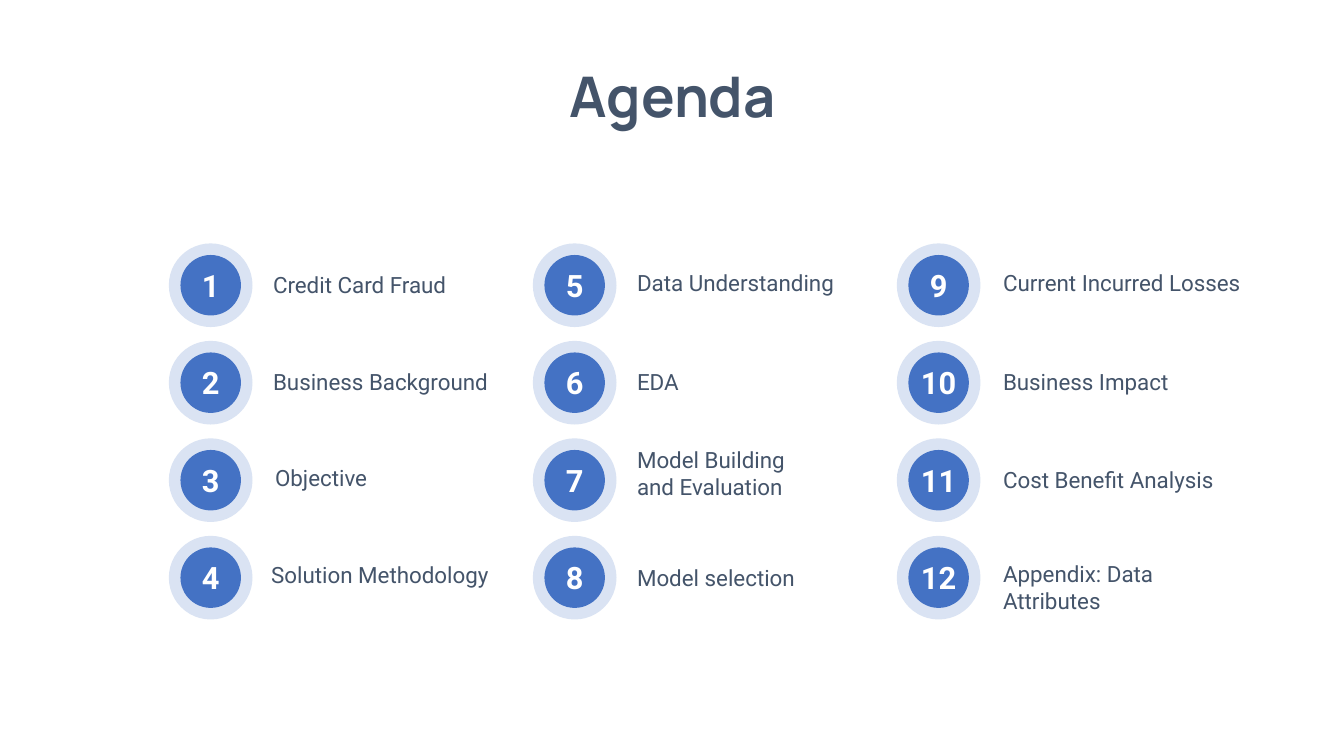
"""Build the agenda slide: twelve numbered topics in three columns."""
from pptx import Presentation
from pptx.dml.color import RGBColor
from pptx.enum import shapes, text
from pptx.util import Inches, Pt

HUES = {"ink": "44546A", "ring": "DAE3F3", "disc": "4472C4", "white": "FFFFFF"}
TITLE = {"name": "Manrope", "size": Pt(40), "bold": True}
BADGE = {"name": "Roboto", "size": Pt(22), "bold": True}
LABEL = {"name": "Roboto", "size": Pt(16), "bold": False}
MIDS = [2.09, 5.7, 9.31]
TOP, STEP, ROWS = 2.83, 0.967, 4
RING, DISC = 0.83, 0.6
TOPICS = [
    ("Credit Card Fraud", 2.61, 2.64, 1.96, 0.37),
    ("Business Background", 2.61, 3.6, 2.38, 0.37),
    ("Objective", 2.63, 4.56, 1.27, 0.37),
    ("Solution Methodology", 2.59, 5.52, 2.49, 0.37),
    ("Data Understanding", 6.22, 2.62, 2.26, 0.37),
    ("EDA", 6.22, 3.6, 2.26, 0.37),
    ("Model Building and Evaluation", 6.22, 4.38, 1.96, 0.64),
    ("Model selection", 6.22, 5.55, 1.96, 0.37),
    ("Current Incurred Losses", 9.85, 2.62, 2.67, 0.37),
    ("Business Impact", 9.85, 3.6, 1.96, 0.37),
    ("Cost Benefit Analysis", 9.85, 4.58, 2.4, 0.37),
    ("Appendix: Data Attributes", 9.85, 5.51, 1.96, 0.64),
]


def write(frame, words, style, hue, align):
    para = frame.paragraphs[0]
    para.alignment = align
    run = para.add_run()
    run.text = words
    for key, value in style.items():
        setattr(run.font, key, value)
    run.font.color.rgb = RGBColor.from_string(HUES[hue])


def add_text(slide, words, box, style, align, wrap=True):
    frame = slide.shapes.add_textbox(*map(Inches, box)).text_frame
    frame.word_wrap = wrap
    frame.auto_size = text.MSO_AUTO_SIZE.SHAPE_TO_FIT_TEXT
    write(frame, words, style, "ink", align)


def add_circle(slide, x, y, size, hue):
    box = (x - size / 2, y - size / 2, size, size)
    shape = slide.shapes.add_shape(shapes.MSO_SHAPE.OVAL, *map(Inches, box))
    shape.shadow.inherit = False
    shape.fill.solid()
    shape.fill.fore_color.rgb = RGBColor.from_string(HUES[hue])
    shape.line.fill.background()
    return shape


def add_badge(slide, x, y, number):
    add_circle(slide, x, y, RING, "ring")
    frame = add_circle(slide, x, y, DISC, "disc").text_frame
    layout = {"word_wrap": False, "vertical_anchor": text.MSO_ANCHOR.MIDDLE,
              "margin_left": 0, "margin_right": 0, "margin_top": 0, "margin_bottom": 0}
    for key, value in layout.items():
        setattr(frame, key, value)
    write(frame, str(number), BADGE, "white", text.PP_ALIGN.CENTER)


def main():
    deck = Presentation()
    deck.slide_width, deck.slide_height = Inches(13.33), Inches(7.5)
    slide = deck.slides.add_slide(deck.slide_layouts[6])
    add_text(slide, "Agenda", (5.43, 0.56, 2.48, 0.77), TITLE,
             text.PP_ALIGN.CENTER, wrap=False)
    for index, (words, *box) in enumerate(TOPICS):
        col, row = divmod(index, ROWS)
        add_badge(slide, MIDS[col], TOP + row * STEP, index + 1)
        add_text(slide, words, box, LABEL, text.PP_ALIGN.LEFT)
    deck.save("out.pptx")


if __name__ == "__main__":
    main()
